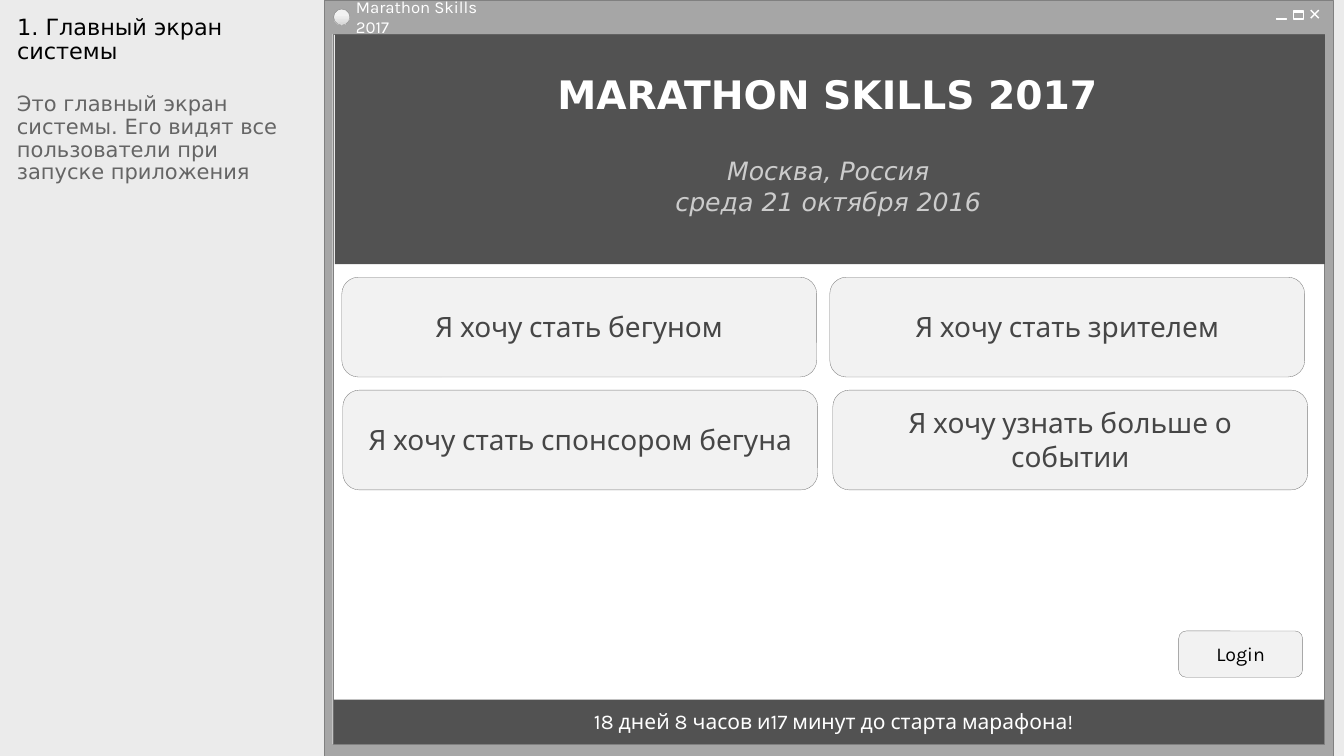
from copy import deepcopy

from pptx import Presentation, util as u
from pptx.dml.color import RGBColor
from pptx.enum import shapes as es, text as et
from pptx.oxml.ns import qn
from lxml import etree

KIND = es.MSO_SHAPE
MID, TOP = et.MSO_ANCHOR.MIDDLE, et.MSO_ANCHOR.TOP
LEFT, MAIN = et.PP_ALIGN.LEFT, et.PP_ALIGN.CENTER
SANS, KARLA = "DejaVu Sans", "Karla"
DARK, PALE, EDGE, WHITE = "525252", "F2F2F2", "808080", "FFFFFF"
INS = (0.1, 0.02, 0.1, 0.03)


def rgb(code):
    return RGBColor.from_string(code)


def inch(box):
    return [u.Inches(v) for v in box]


def put(obj, vals):
    for key, val in vals.items():
        setattr(obj, key, val)


def write(shape, lines, size, face, color, align=MAIN, anchor=MID,
          ins=INS, space=None, **font):
    frame = shape.text_frame
    sides = ("margin_left", "margin_top", "margin_right", "margin_bottom")
    put(frame, dict(zip(sides, inch(ins))))
    put(frame, {"word_wrap": True, "vertical_anchor": anchor,
                "auto_size": et.MSO_AUTO_SIZE.NONE})
    frame.text = "\n".join(lines)
    for para in frame.paragraphs:
        put(para, {"alignment": align, "line_spacing": space})
        run = para.runs[0]
        put(run.font, {"size": u.Pt(size), "name": face, **font})
        run.font.color.rgb = rgb(color)


def label(slide, box, lines, *style, **opts):
    write(slide.shapes.add_textbox(*inch(box)), lines, *style, **opts)


def block(slide, box, fill=None, line=None, width=0.25, kind=KIND.RECTANGLE):
    shape = slide.shapes.add_shape(kind, *inch(box))
    shape.shadow.inherit = False
    if fill:
        shape.fill.solid()
        shape.fill.fore_color.rgb = rgb(fill)
    else:
        shape.fill.background()
    if line:
        shape.line.color.rgb = rgb(line)
        shape.line.width = u.Pt(width)
    else:
        shape.line.fill.background()
    return shape


def button(slide, box, name, size=20, color="464646"):
    shape = block(slide, box, PALE, EDGE, kind=KIND.ROUNDED_RECTANGLE)
    write(shape, [name], size, KARLA, color, ins=(0.1, 0, 0.1, 0.01))


def orb(slide, box):
    """Round window icon with a three-stop vertical gradient."""
    shape = block(slide, box, PALE, EDGE, kind=KIND.OVAL)
    shape.fill.gradient()
    shape.fill.gradient_angle = 270
    stops = shape.fill.gradient_stops
    last = shape._element.spPr.findall(".//" + qn("a:gs"))[-1]
    last.addnext(deepcopy(last))
    stops = shape.fill.gradient_stops
    for stop, pos, code in zip(stops, (0.36, 0.91, 1), (PALE, "D9D9D9", PALE)):
        stop.position = pos
        stop.color.rgb = rgb(code)


def cross(slide, x, y, side):
    for top, end in ((y, y + side), (y + side, y)):
        line = slide.shapes.add_connector(
            es.MSO_CONNECTOR.STRAIGHT, *inch((x, top, x + side, end)))
        line.line.color.rgb = rgb(WHITE)
        line.line.width = u.Pt(1)
        etree.SubElement(line._element.spPr, qn("a:effectLst"))


def window(slide, x, y, w, h):
    block(slide, (x, y, w, h), "A6A6A6", EDGE)
    block(slide, (x + 0.08, y + 0.34, w - 0.17, h - 0.46), WHITE, EDGE)
    label(slide, (x + 0.26, y + 0.05, 1.7, 0.25), ["Marathon Skills 2017"],
          12, KARLA, WHITE, align=LEFT, ins=(0.05, 0.02, 0.1, 0.03))
    cross(slide, x + 9.78, y + 0.1, 0.08)
    block(slide, (x + 9.61, y + 0.11, 0.1, 0.01), "919191", WHITE)
    block(slide, (x + 9.61, y + 0.11, 0.1, 0.08), None, WHITE, 1)
    block(slide, (x + 9.44, y + 0.18, 0.1, 0.01), "919191", WHITE)
    orb(slide, (x + 0.09, y + 0.09, 0.16, 0.16))


def banner(slide, x, y, w, h):
    block(slide, (x, y, w, h), DARK)
    label(slide, (x + 1.58, y + 0.34, 6.61, 0.52), ["MARATHON SKILLS 2017"],
          28, SANS, WHITE, bold=True)
    label(slide, (x + 2.54, y + 1.18, 4.71, 0.66),
          ["Москва, Россия", "среда 21 октября 2016"],
          18, SANS, "CCCCCC", italic=True)


def menu(slide, x, y, w, h):
    rows = (((0, "Я хочу стать бегуном"), (4.84, "Я хочу стать зрителем")),
            ((0.01, "Я хочу стать спонсором бегуна"),
             (4.87, "Я хочу узнать больше о событии")))
    for row, items in enumerate(rows):
        for shift, name in items:
            button(slide, (x + shift, y + row * 1.12, w, h), name)


def footer(slide, x, y, w, h):
    block(slide, (x, y, w, h), DARK)
    label(slide, (x + 1.02, y + 0.07, 7.88, 0.3),
          ["18 дней 8 часов и17 минут до старта марафона!"], 15, KARLA, WHITE)


def notes(slide, x, y, w, h):
    """Left column: slide title above its description."""
    style = {"align": LEFT, "anchor": TOP, "ins": (0.1, 0.05, 0.1, 0.05),
             "space": 0.9}
    title = slide.shapes.title
    put(title, dict(zip(("left", "top", "width", "height"),
                        inch((x, y, w, 0.77)))))
    write(title, ["1. Главный экран системы"], 16, SANS, "000000", **style)
    label(slide, (x, y + 0.77, w, h - 0.77),
          ["Это главный экран системы. Его видят все пользователи "
           "при запуске приложения"], 15, SANS, "656565", **style)


def main():
    deck = Presentation()
    deck.slide_width, deck.slide_height = inch((13.33, 7.5))
    slide = deck.slides.add_slide(deck.slide_layouts[5])
    back = slide.background.fill
    back.solid()
    back.fore_color.rgb = rgb("EBEBEB")
    window(slide, 3.22, 0, 10, 7.5)
    banner(slide, 3.32, 0.34, 9.82, 2.28)
    menu(slide, 3.39, 2.75, 4.71, 0.99)
    button(slide, (11.69, 6.26, 1.23, 0.46), "Login", 14, "000000")
    footer(slide, 3.31, 6.94, 9.82, 0.44)
    notes(slide, 0.07, 0.11, 3.01, 7.21)
    deck.save("out.pptx")


if __name__ == "__main__":
    main()
